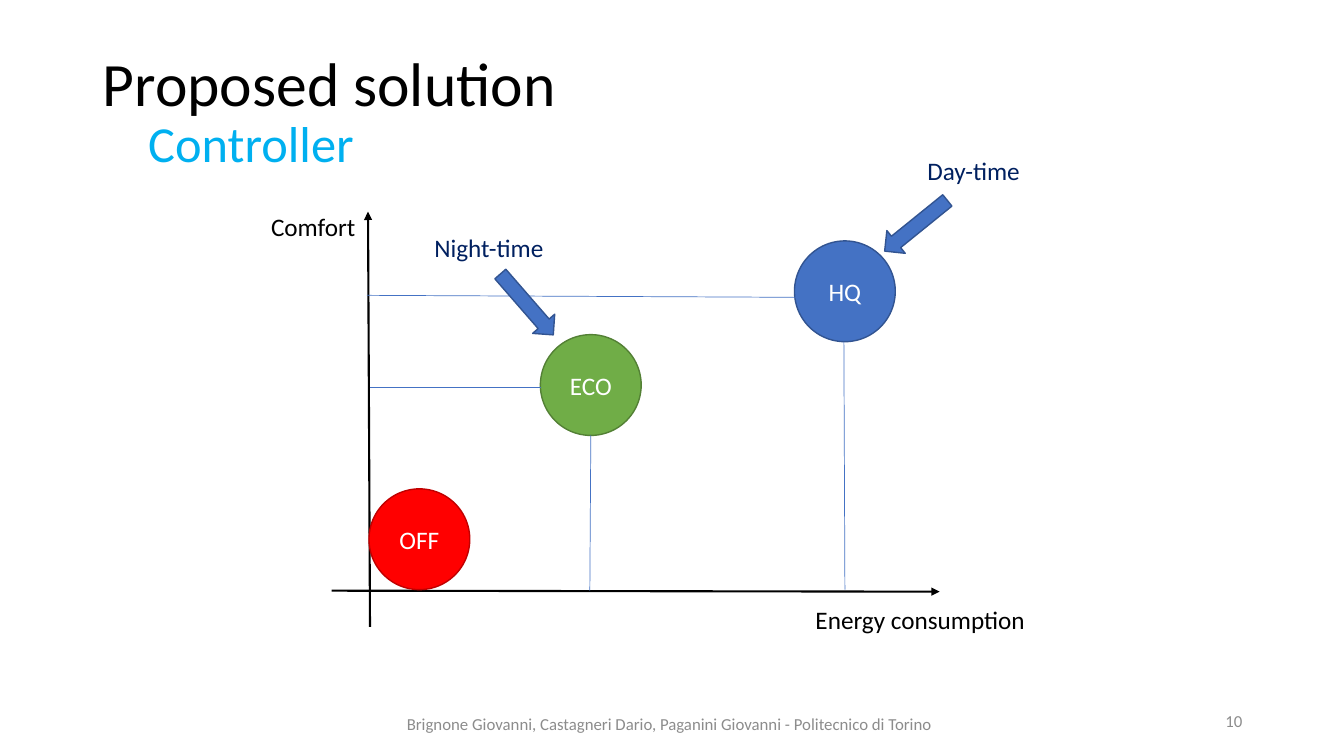
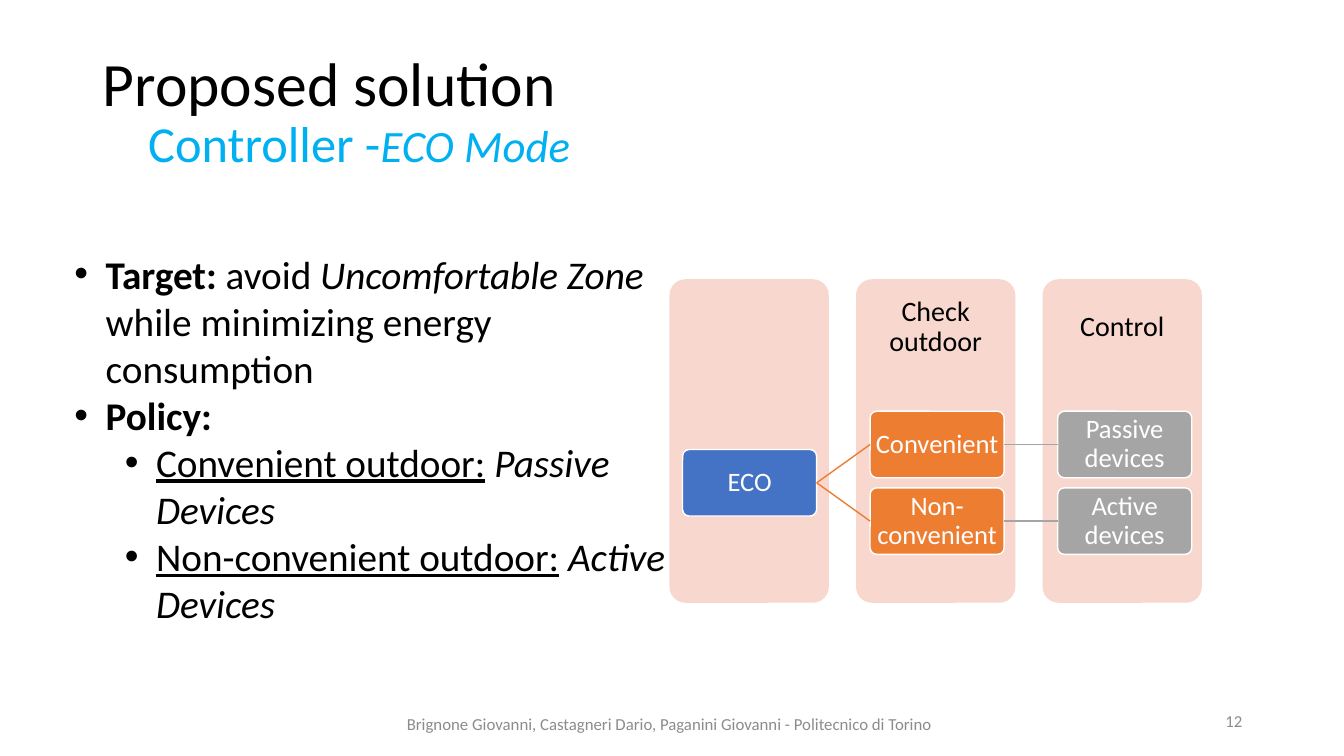
"""Build the two controller slides of the proposed solution."""
from dataclasses import dataclass
from typing import Optional

from lxml import etree
from pptx import Presentation
from pptx import util as u
from pptx.dml import color
from pptx.enum import shapes, text
from pptx.oxml import ns

PX = 9144
FONT = "Calibri"
BLACK, WHITE, GREY, NAVY, CYAN = "000000", "FFFFFF", "8C8C8C", "002060", "00B0F0"
BLUE, DARK_BLUE, GREEN, DARK_GREEN = "4472C4", "325491", "70AD47", "538035"
RED, DARK_RED, ORANGE, SILVER, PINK = "FF0000", "C00000", "ED7D31", "A5A5A5", "F8D7CE"
LEFT, CENTER, RIGHT = text.PP_ALIGN.LEFT, text.PP_ALIGN.CENTER, text.PP_ALIGN.RIGHT
TOP, MIDDLE = text.MSO_ANCHOR.TOP, text.MSO_ANCHOR.MIDDLE
OVAL, ARROW = shapes.MSO_SHAPE.OVAL, shapes.MSO_SHAPE.DOWN_ARROW
ROUNDED = shapes.MSO_SHAPE.ROUNDED_RECTANGLE
FOOTER = "Brignone Giovanni, Castagneri Dario, Paganini Giovanni - Politecnico di Torino"


@dataclass(frozen=True)
class Span:
    text: str
    bold: Optional[bool] = None
    italic: Optional[bool] = None
    underline: Optional[bool] = None
    size: Optional[int] = None


@dataclass(frozen=True)
class Label:
    text: str
    left: int
    top: int
    width: int = 300
    height: int = 40
    size: int = 18
    ink: str = BLACK
    align: text.PP_ALIGN = LEFT
    anchor: text.MSO_ANCHOR = TOP
    spacing: float = 1.0
    inset: Optional[int] = None


@dataclass(frozen=True)
class Node:
    kind: shapes.MSO_SHAPE
    left: int
    top: int
    width: int
    height: int
    fill: str
    line: Optional[str] = None
    text: str = ""
    size: int = 18
    spacing: float = 1.0
    inset: Optional[int] = None
    rotation: int = 0


@dataclass(frozen=True)
class Line:
    start: tuple[int, int]
    end: tuple[int, int]
    ink: str = BLUE
    width: float = 0.5
    arrow: bool = False


@dataclass(frozen=True)
class Bullet:
    level: int
    spans: tuple[Span, ...]


CIRCLES = (
    Node(OVAL, 788, 239, 100, 100, BLUE, DARK_BLUE, "HQ"),
    Node(OVAL, 366, 485, 100, 100, RED, DARK_RED, "OFF"),
    Node(OVAL, 536, 332, 100, 100, GREEN, DARK_GREEN, "ECO"),
)
POINTERS = (
    Node(ARROW, 508, 262, 29, 80, BLUE, DARK_BLUE, rotation=319),
    Node(ARROW, 894, 184, 29, 80, BLUE, DARK_BLUE, rotation=51),
)
AXES = (
    Line((367, 622), (365, 210), BLACK, 1.5, True),
    Line((329, 586), (932, 587), BLACK, 1.5, True),
)
GUIDES = (
    Line((364, 293), (800, 295)),
    Line((837, 339), (838, 585)),
    Line((586, 432), (585, 586)),
    Line((367, 384), (537, 384)),
)
CHART_LABELS = (
    Label("Comfort", 259, 205),
    Label("Energy consumption", 799, 595),
    Label("Night-time", 421, 226, ink=NAVY),
    Label("Day-time", 910, 149, ink=NAVY),
)
BULLETS = (
    Bullet(0, (Span("Target:", bold=True), Span(" avoid "),
               Span("Uncomfortable Zone", italic=True),
               Span(" while minimizing energy consumption"))),
    Bullet(0, (Span("Policy:", bold=True),)),
    Bullet(1, (Span("Convenient outdoor:", underline=True), Span(" "),
               Span("Passive Devices", italic=True))),
    Bullet(1, (Span("Non-convenient outdoor:", underline=True), Span(" "),
               Span("Active Devices", italic=True))),
)
HEADINGS = ("", "Check outdoor", "Control")
STEPS = {
    "ECO": (0, 446, BLUE),
    "Convenient": (1, 408, ORANGE),
    "Non-convenient": (1, 484, ORANGE),
    "Passive devices": (2, 408, SILVER),
    "Active devices": (2, 484, SILVER),
}
LINKS = (
    ("ECO", "Convenient", ORANGE),
    ("ECO", "Non-convenient", ORANGE),
    ("Convenient", "Passive devices", SILVER),
    ("Non-convenient", "Active devices", SILVER),
)


def px(*values: int) -> list[u.Emu]:
    """Turn px into EMU."""
    return [u.Emu(value * PX) for value in values]


def rgb(value: str) -> color.RGBColor:
    """Turn a hex string into a colour."""
    return color.RGBColor.from_string(value)


def style(para, size: int, ink: str, align=LEFT, spacing: float = 1.0) -> None:
    """Format a whole paragraph."""
    para.alignment, para.line_spacing = align, spacing
    para.font.name, para.font.size = FONT, u.Pt(size)
    para.font.color.rgb = rgb(ink)


def add_spans(para, spans: tuple[Span, ...]) -> None:
    """Add runs that differ from their paragraph."""
    for span in spans:
        run = para.add_run()
        run.text = span.text
        run.font.bold, run.font.italic = span.bold, span.italic
        run.font.underline = span.underline
        if span.size:
            run.font.size = u.Pt(span.size)


def set_frame(frame, anchor, inset: Optional[int] = None) -> None:
    """Set wrapping, anchor and insets of a text frame."""
    frame.word_wrap, frame.vertical_anchor = True, anchor
    frame.auto_size = text.MSO_AUTO_SIZE.NONE
    if inset is not None:
        frame.margin_left = frame.margin_right = px(inset)[0]
        frame.margin_top = frame.margin_bottom = px(inset)[0]


def add_label(slide, label: Label) -> None:
    """Draw one line of free text."""
    box = slide.shapes.add_textbox(*px(label.left, label.top, label.width, label.height))
    set_frame(box.text_frame, label.anchor, label.inset)
    para = box.text_frame.paragraphs[0]
    para.text = label.text
    style(para, label.size, label.ink, label.align, label.spacing)


def add_node(slide, node: Node):
    """Draw a filled shape with optional outline and text."""
    shape = slide.shapes.add_shape(node.kind, *px(node.left, node.top, node.width, node.height))
    shape.shadow.inherit = False
    shape.rotation = node.rotation
    shape.fill.solid()
    shape.fill.fore_color.rgb = rgb(node.fill)
    if node.kind == ROUNDED:
        shape.adjustments[0] = 0.1
    if node.line:
        shape.line.color.rgb, shape.line.width = rgb(node.line), u.Pt(1)
    else:
        shape.line.fill.background()
    if node.text:
        set_frame(shape.text_frame, MIDDLE, node.inset)
        para = shape.text_frame.paragraphs[0]
        para.text = node.text
        style(para, node.size, WHITE, CENTER, node.spacing)
    return shape


def add_line(slide, line: Line):
    """Draw a straight connector."""
    connector = slide.shapes.add_connector(
        shapes.MSO_CONNECTOR.STRAIGHT, *px(*line.start, *line.end))
    connector.line.color.rgb, connector.line.width = rgb(line.ink), u.Pt(line.width)
    if line.arrow:
        etree.SubElement(connector.line._get_or_add_ln(), ns.qn("a:tailEnd"), type="triangle")
    etree.SubElement(connector._element.spPr, ns.qn("a:effectLst"))
    return connector


def add_page(deck, number: int, subtitle: tuple[Span, ...]):
    """Add a slide with its title, footer and number."""
    page = deck.slides.add_slide(deck.slide_layouts[5])
    title = page.shapes.title
    title.left, title.top, title.width, title.height = px(92, 40, 1150, 145)
    set_frame(title.text_frame, MIDDLE)
    head = title.text_frame.paragraphs[0]
    head.text = "Proposed solution"
    style(head, 44, BLACK, spacing=0.9)
    para = title.text_frame.add_paragraph()
    para._p.get_or_add_pPr().set("marL", str(45 * PX))
    add_spans(para, subtitle)
    style(para, 36, CYAN, spacing=0.9)
    add_label(page, Label(FOOTER, 360, 698, 608, 40, 12, GREY, CENTER, MIDDLE))
    add_label(page, Label(str(number), 942, 695, 300, 40, 12, GREY, RIGHT, MIDDLE))
    return page


def add_bullets(page) -> None:
    """Write the target and policy list."""
    box = page.shapes.add_textbox(*px(64, 243, 608, 387))
    set_frame(box.text_frame, TOP)
    for index, bullet in enumerate(BULLETS):
        para = box.text_frame.add_paragraph() if index else box.text_frame.paragraphs[0]
        para.level = bullet.level
        props = para._p.get_or_add_pPr()
        props.set("marL", str((31 + 50 * bullet.level) * PX))
        props.set("indent", str(-31 * PX))
        etree.SubElement(props, ns.qn("a:buFont"), typeface="Arial")
        etree.SubElement(props, ns.qn("a:buChar"), char="•")
        add_spans(para, bullet.spans)
        style(para, 28, BLACK)


def add_flow(page) -> None:
    """Draw the decision columns, their steps and links."""
    for column, heading in enumerate(HEADINGS):
        left = 664 + 185 * column
        add_node(page, Node(ROUNDED, left, 277, 158, 321, PINK))
        if heading:
            add_label(page, Label(heading, left, 277, 158, 96, 20, BLACK, CENTER, MIDDLE, 0.9, 16))
    boxes = {
        name: add_node(page, Node(ROUNDED, 677 + 186 * column, top, 133, 66, fill, WHITE,
                                  name, 19, 0.9, 3))
        for name, (column, top, fill) in STEPS.items()
    }
    for source, target, ink in LINKS:
        link = add_line(page, Line((0, 0), (0, 0), ink, 1))
        link.begin_connect(boxes[source], 3)
        link.end_connect(boxes[target], 1)


def main() -> None:
    """Build and save the deck."""
    deck = Presentation()
    deck.slide_width, deck.slide_height = px(1333, 750)
    chart = add_page(deck, 10, (Span("Controller"),))
    for line in AXES:
        add_line(chart, line)
    for circle in CIRCLES:
        add_node(chart, circle)
    for guide in GUIDES:
        add_line(chart, guide)
    for pointer in POINTERS:
        add_node(chart, pointer)
    for label in CHART_LABELS:
        add_label(chart, label)
    eco = add_page(deck, 12, (Span("Controller -"), Span("ECO Mode", italic=True, size=32)))
    add_flow(eco)
    add_bullets(eco)
    deck.save("out.pptx")


if __name__ == "__main__":
    main()
